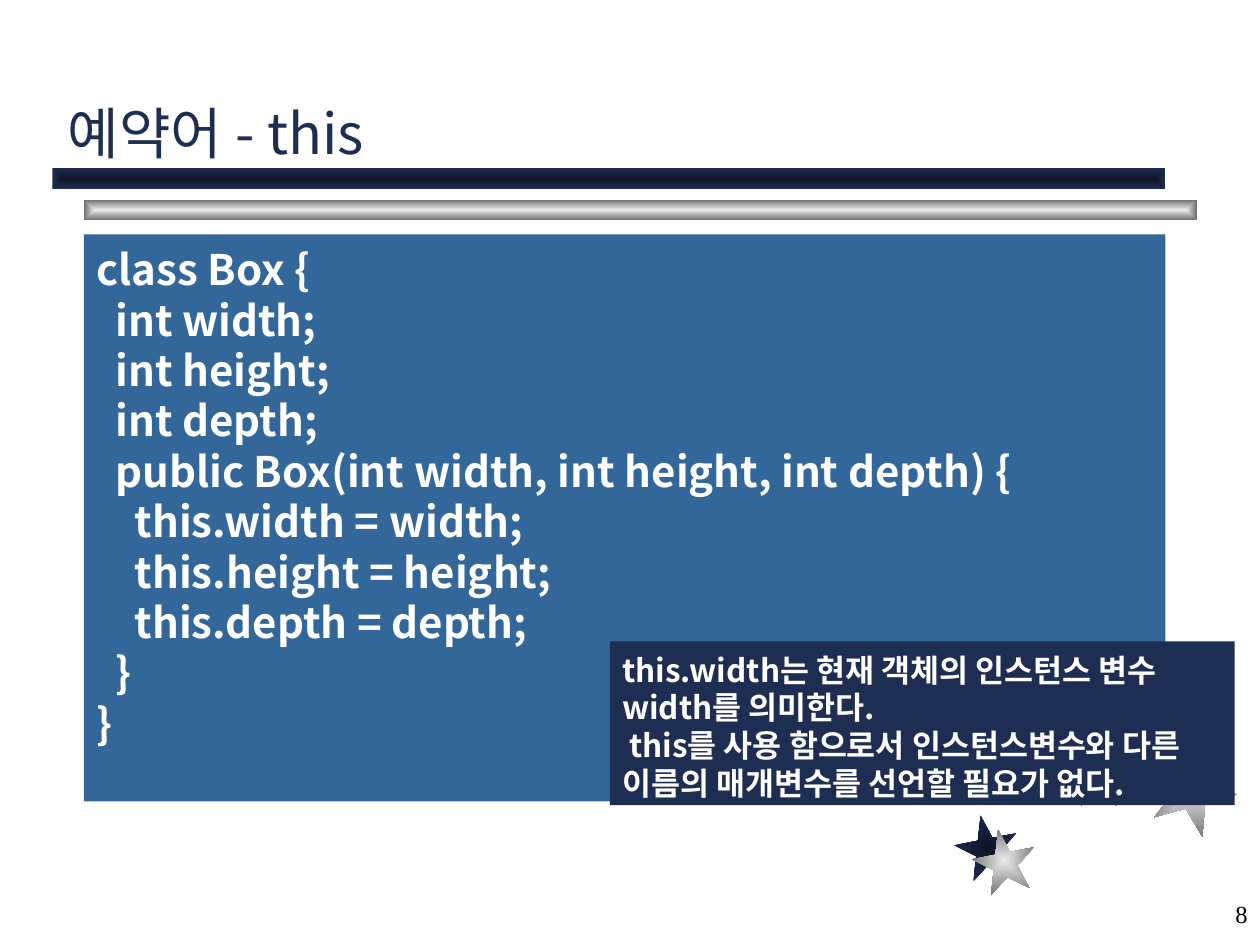
from lxml.etree import SubElement
from pptx import Presentation
from pptx.dml.color import RGBColor
from pptx.enum.shapes import MSO_SHAPE
from pptx.enum.text import MSO_ANCHOR, PP_ALIGN
from pptx.oxml import parse_xml
from pptx.oxml.ns import nsdecls, qn
from pptx.util import Pt

SANS = "Noto Sans CJK KR"
NAVY, BLUE, WHITE = "1E2E53", "336699", "FFFFFF"
DARK, SILVER = ("0E1526", NAVY), ("EAEAEA", "6C6C6C")
CODE = """class Box {
  int width;
  int height;
  int depth;
  public Box(int width, int height, int depth) {
    this.width = width;
    this.height = height;
    this.depth = depth;
  }
}"""
NOTE = """this.width는 현재 객체의 인스턴스 변수
width를 의미한다.
this를 사용 함으로서 인스턴스변수와 다른 이름의 매개변수를 선언할 필요가 없다."""
STARS = [
    (545.8, 465.8, 36, -11, DARK),
    (652.4, 414, 48.2, 22, DARK),
    (555.8, 473.8, 36, -11, SILVER),
    (611.3, 427.7, 33.1, 0, SILVER),
    (658.2, 426.2, 48.2, 22, SILVER),
]


def color(code):
    """Turn a hex string into a colour."""
    return RGBColor.from_string(code)


def add_form(slide, kind, box):
    """Add a preset shape without line or shadow."""
    form = slide.shapes.add_shape(kind, *map(Pt, box))
    form.shadow.inherit = False
    form.line.fill.background()
    return form


def add_glow(slide, kind, box, tones, turn=0):
    """Add a shape shaded from its centre to its edge."""
    form = add_form(slide, kind, box)
    form.rotation = turn
    stops = "".join(
        f'<a:gs pos="{place}"><a:srgbClr val="{tone}"/></a:gs>'
        for place, tone in zip((0, 100000), tones)
    )
    grad = parse_xml(
        f'<a:gradFill {nsdecls("a")} rotWithShape="1"><a:gsLst>{stops}</a:gsLst>'
        '<a:path path="rect"><a:fillToRect l="50000" t="50000" r="50000" b="50000"/>'
        "</a:path></a:gradFill>"
    )
    form._element.spPr.find(qn("a:prstGeom")).addnext(grad)


def set_text(form, text, size, tone, font=SANS, bold=False,
             anchor=MSO_ANCHOR.TOP, align=PP_ALIGN.LEFT, top=3.6, low=3.6):
    """Fill a shape with evenly styled text."""
    frame = form.text_frame
    frame.text = text
    frame.word_wrap = True
    frame.vertical_anchor = anchor
    frame.margin_left = frame.margin_right = Pt(7.2)
    frame.margin_top, frame.margin_bottom = Pt(top), Pt(low)
    for line in frame.paragraphs:
        line.alignment = align
        line.line_spacing = Pt(size * 1.2)
        for run in line.runs:
            run.font.size, run.font.bold = Pt(size), bold
            run.font.name = font
            run.font.color.rgb = color(tone)
            SubElement(run.font._element, qn("a:ea"), typeface=font)


def add_label(slide, box, text, size, tone, **style):
    """Add a plain text box."""
    set_text(slide.shapes.add_textbox(*map(Pt, box)), text, size, tone, **style)


def add_panel(slide, box, fill, text, size):
    """Add a filled panel with bold white text."""
    form = add_form(slide, MSO_SHAPE.RECTANGLE, box)
    form.fill.solid()
    form.fill.fore_color.rgb = color(fill)
    set_text(form, text, size, WHITE, bold=True, top=5.3)
    return form


def main():
    """Build the slide and save it."""
    deck = Presentation()
    deck.slide_width, deck.slide_height = Pt(720), Pt(540)
    slide = deck.slides.add_slide(deck.slide_layouts[6])
    for left, top, size, turn, tones in STARS:
        add_glow(slide, MSO_SHAPE.STAR_5_POINT, (left, top, size, size), tones, turn)
    for left, top, tones in ((48, 114, SILVER), (30, 96, DARK)):
        add_glow(slide, MSO_SHAPE.RECTANGLE, (left, top, 636, 12), tones)
    add_label(slide, (570, 504, 150, 36), "8", 14, "000000", font="Times New Roman",
              anchor=MSO_ANCHOR.MIDDLE, align=PP_ALIGN.RIGHT)
    add_label(slide, (31.7, 43.2, 634.3, 52.6), "예약어 - this", 32, NAVY,
              anchor=MSO_ANCHOR.BOTTOM, low=0.9)
    add_panel(slide, (48, 134, 618, 324), BLUE, CODE, 24)
    note = add_panel(slide, (348.5, 366.5, 357, 93.6), NAVY, NOTE, 18)
    note.text_frame.paragraphs[-1]._p.get_or_add_pPr().set("indent", str(Pt(4)))
    deck.save("out.pptx")


if __name__ == "__main__":
    main()
